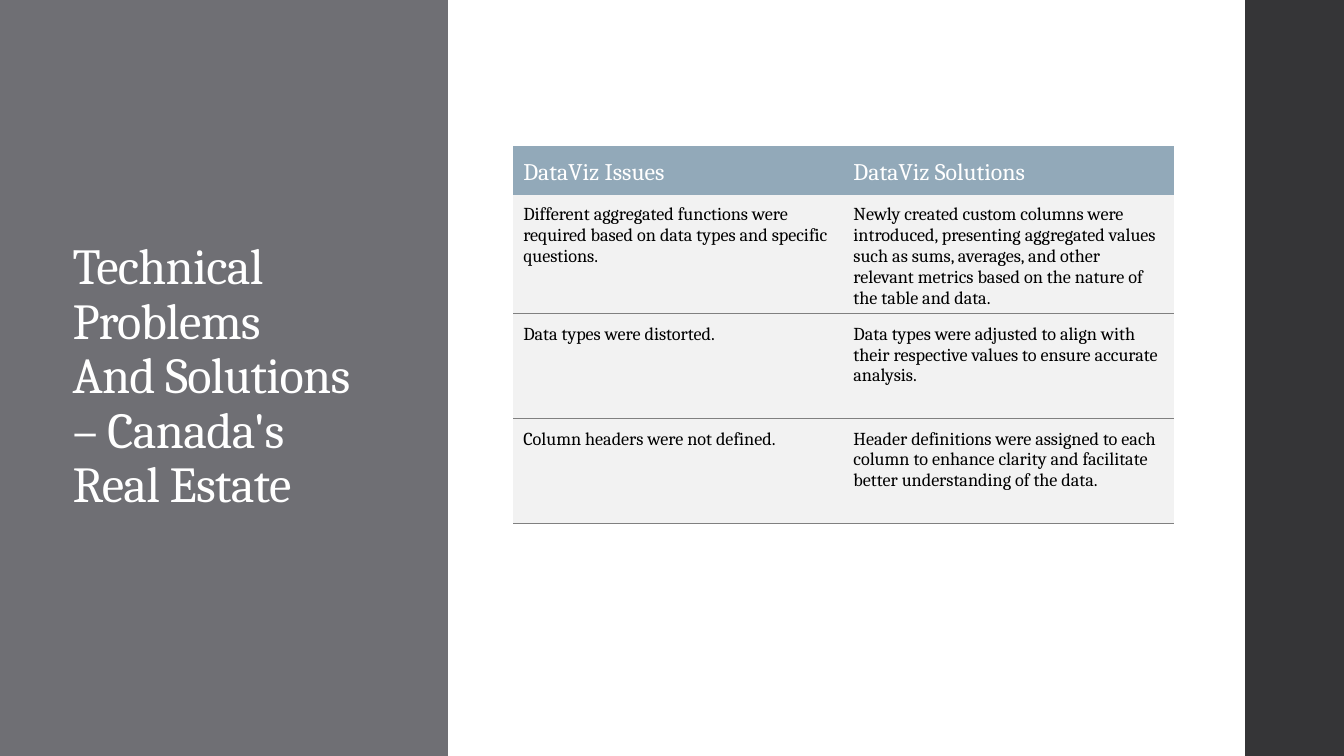
import pptx
import pptx.util
import pptx.dml.color
import pptx.enum.shapes
import pptx.enum.text
import pptx.oxml
import pptx.oxml.ns

# Content
HEADING = "Technical Problems And Solutions – Canada's Real Estate"
COLUMNS = ("DataViz Issues", "DataViz Solutions")
PROBLEMS = [
    ("Different aggregated functions were required based on data types and specific questions.",
     "Newly created custom columns were introduced, presenting aggregated values such as sums, "
     "averages, and other relevant metrics based on the nature of the table and data."),
    ("Data types were distorted.",
     "Data types were adjusted to align with their respective values to ensure accurate analysis."),
    ("Column headers were not defined.",
     "Header definitions were assigned to each column to enhance clarity and facilitate "
     "better understanding of the data."),
]

# Layout, in inches
WIDTH, HEIGHT = 13.33, 7.5
LEFT_PANEL = WIDTH / 3
RIGHT_PANEL = 0.98
TITLE_BOX = (0.62, 0.91, 2.97, 5.67)
GRID_LEFT, GRID_TOP, GRID_WIDTH = 5.09, 1.45, 6.55
HEADER_ROW, BODY_ROW = 0.48, 1.04

FONT = "Cambria"
WHITE, BLACK, RULE = "FFFFFF", "000000", "808080"
inches = pptx.util.Inches
anchors = pptx.enum.text.MSO_ANCHOR


def color(value):
    return pptx.dml.color.RGBColor.from_string(value)


def write(frame, text, size, ink, spacing=None, tracking=0):
    paragraph = frame.paragraphs[0]
    paragraph.alignment = pptx.enum.text.PP_ALIGN.LEFT
    paragraph.line_spacing = spacing
    run = paragraph.add_run()
    run.text = text
    run.font.name, run.font.size, run.font.bold = FONT, pptx.util.Pt(size), False
    run.font.color.rgb = color(ink)
    if tracking:
        run.font._element.set("spc", str(int(tracking * 100)))


def add_panel(slide, left, width, fill):
    panel = slide.shapes.add_shape(pptx.enum.shapes.MSO_SHAPE.RECTANGLE,
                                   inches(left), 0, inches(width), inches(HEIGHT))
    panel.shadow.inherit = False
    panel.fill.solid()
    panel.fill.fore_color.rgb = color(fill)
    panel.line.fill.background()


def set_borders(cell, ruled_sides):
    properties = cell._tc.get_or_add_tcPr()
    for position, side in enumerate("LRTB"):
        paint = (f'<a:solidFill><a:srgbClr val="{RULE}"/></a:solidFill>'
                 if side in ruled_sides else "<a:noFill/>")
        properties.insert(position, pptx.oxml.parse_xml(
            f'<a:ln{side} {pptx.oxml.ns.nsdecls("a")} w="9525">{paint}</a:ln{side}>'))


def fill_cell(cell, text, size, ink, fill, anchor, ruled_sides):
    cell.margin_left = cell.margin_right = cell.margin_top = inches(0.1)
    cell.margin_bottom = inches(0.05)
    cell.vertical_anchor = anchor
    cell.fill.solid()
    cell.fill.fore_color.rgb = color(fill)
    write(cell.text_frame, text, size, ink)
    set_borders(cell, ruled_sides)


def main():
    deck = pptx.Presentation()
    deck.slide_width, deck.slide_height = inches(WIDTH), inches(HEIGHT)
    slide = deck.slides.add_slide(deck.slide_layouts[5])

    # Side panels
    add_panel(slide, 0, LEFT_PANEL, "6F6F74")
    add_panel(slide, WIDTH - RIGHT_PANEL, RIGHT_PANEL, "353537")

    # Title, brought in front of the left panel
    title = slide.shapes.title
    title.left, title.top, title.width, title.height = map(inches, TITLE_BOX)
    title.text_frame.word_wrap = True
    title.text_frame.auto_size = pptx.enum.text.MSO_AUTO_SIZE.NONE
    title.text_frame.vertical_anchor = anchors.MIDDLE
    write(title.text_frame, HEADING, 36, WHITE, spacing=0.9, tracking=-0.5)
    slide.shapes._spTree.append(title._element)

    # Issues and solutions
    grid = slide.shapes.add_table(
        len(PROBLEMS) + 1, len(COLUMNS), inches(GRID_LEFT), inches(GRID_TOP),
        inches(GRID_WIDTH), inches(HEADER_ROW + BODY_ROW * len(PROBLEMS))).table
    grid.horz_banding = False
    for column in grid.columns:
        column.width = inches(GRID_WIDTH / len(COLUMNS))
    for r, texts in enumerate([COLUMNS] + PROBLEMS):
        grid.rows[r].height = inches(BODY_ROW if r else HEADER_ROW)
        for c, text in enumerate(texts):
            if r == 0:
                fill_cell(grid.cell(r, c), text, 17, WHITE, "92A9B9", anchors.MIDDLE, "")
            else:
                fill_cell(grid.cell(r, c), text, 13, BLACK, "F2F2F2", anchors.TOP,
                          "B" if r == 1 else "TB")

    deck.save("out.pptx")


if __name__ == "__main__":
    main()
